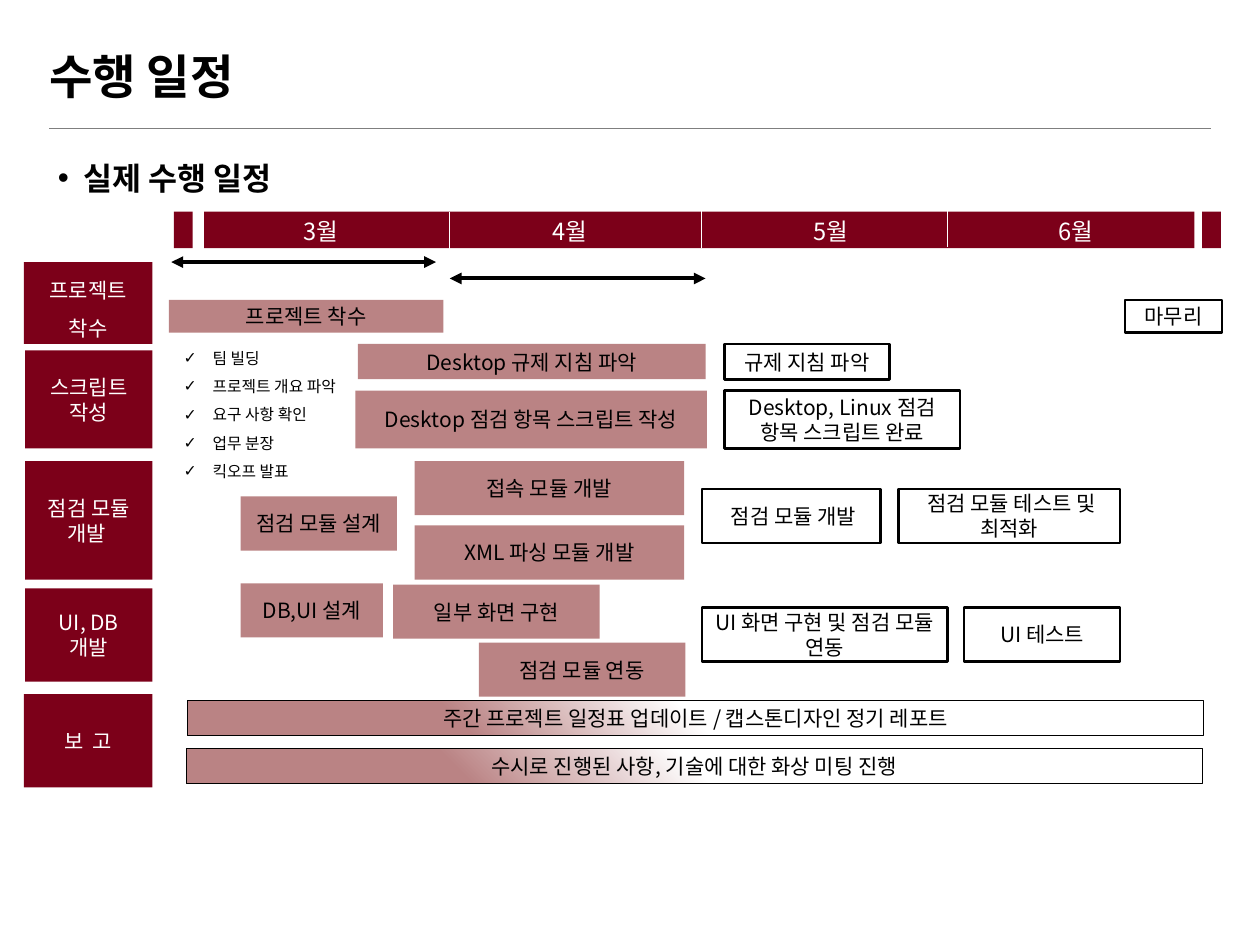
"""Draw the project schedule slide."""
from lxml import etree
from pptx import Presentation, util as u
from pptx.dml.color import RGBColor
from pptx.enum import shapes, text
from pptx.oxml import parse_xml
from pptx.oxml.ns import qn, nsdecls

WINE, ROSE, BLACK, WHITE, GRAY = "7C0019", "BA8384", "000000", "FFFFFF", "7F7F7F"
KOR = "Noto Sans CJK KR"
ALIGN = text.PP_ALIGN
ANCHOR = text.MSO_ANCHOR


def rgb(code):
    """Turn a hex string into a colour."""
    return RGBColor.from_string(code)


def assign(item, vals):
    """Set attributes from a dict."""
    for key, val in vals.items():
        setattr(item, key, val)


class Deck:
    """Hold the style and the current slide."""

    def __init__(self):
        """Open a deck with one title and content slide."""
        self.prs = Presentation()
        assign(self.prs, {"slide_width": u.Inches(10), "slide_height": u.Inches(7.5)})
        self.slide = self.prs.slides.add_slide(self.prs.slide_layouts[1])

    def letter(self, frame, words, size=12, color=BLACK, font=KOR, bold=False,
               align=ALIGN.LEFT, anchor=ANCHOR.TOP, space=1.0, mark=None, dent=0):
        """Fill a text frame, one paragraph per line of words."""
        assign(frame, {"word_wrap": True, "auto_size": text.MSO_AUTO_SIZE.NONE,
                       "vertical_anchor": anchor})
        frame.text = words
        for para in frame.paragraphs:
            if mark:
                props = para._p.get_or_add_pPr()
                props.set("marL", str(u.Inches(dent)))
                props.set("indent", str(-u.Inches(dent)))
                etree.SubElement(props, qn("a:buFont")).set("typeface", "Arial")
                etree.SubElement(props, qn("a:buChar")).set("char", mark)
            assign(para, {"alignment": align, "line_spacing": space,
                          "space_before": u.Pt(0)})
            for run in para.runs:
                assign(run.font, {"size": u.Pt(size), "bold": bold, "name": font})
                run.font.color.rgb = rgb(color)
                etree.SubElement(run._r.get_or_add_rPr(), qn("a:ea")).set("typeface", KOR)

    def holder(self, idx, box, words, **style):
        """Move and fill a template placeholder."""
        item = self.slide.placeholders[idx]
        assign(item, dict(zip(("left", "top", "width", "height"), map(u.Inches, box))))
        self.letter(item.text_frame, words, **style)

    def label(self, box, words, **style):
        """Add a text box."""
        item = self.slide.shapes.add_textbox(*map(u.Inches, box))
        self.letter(item.text_frame, words, **style)

    def block(self, box, words="", fill=None, edge=None, width=1.5, color=BLACK, space=1.0):
        """Add a rectangle with centred text."""
        item = self.slide.shapes.add_shape(shapes.MSO_SHAPE.RECTANGLE, *map(u.Inches, box))
        item.shadow.inherit = False
        if fill:
            item.fill.solid()
            item.fill.fore_color.rgb = rgb(fill)
        else:
            item.fill.background()
        if edge:
            item.line.color.rgb = rgb(edge)
            item.line.width = u.Pt(width)
        else:
            item.line.fill.background()
        if words:
            self.letter(item.text_frame, words, color=color, space=space,
                        align=ALIGN.CENTER, anchor=ANCHOR.MIDDLE)
        return item

    def fade(self, box, words, width):
        """Add an outlined bar that fades from rose to white."""
        item = self.block(box, words, edge=BLACK, width=width)
        stops = "".join(f'<a:gs pos="{pos}000"><a:srgbClr val="{code}"/></a:gs>'
                        for pos, code in ((27, ROSE), (50, WHITE)))
        grad = parse_xml(
            f'<a:gradFill {nsdecls("a")} rotWithShape="1"><a:gsLst>{stops}</a:gsLst>'
            '<a:path path="circle"><a:fillToRect t="100000" r="100000"/></a:path></a:gradFill>')
        props = item._element.spPr
        props.replace(props.find(qn("a:noFill")), grad)

    def line(self, start, end, color, width, heads=False):
        """Add a straight line, with arrowheads at both ends if asked."""
        item = self.slide.shapes.add_connector(
            shapes.MSO_CONNECTOR.STRAIGHT, *map(u.Inches, start + end))
        item.line.color.rgb = rgb(color)
        item.line.width = u.Pt(width)
        props = item._element.spPr
        if heads:
            for tag in ("a:headEnd", "a:tailEnd"):
                etree.SubElement(props.find(qn("a:ln")), qn(tag)).set("type", "triangle")
        etree.SubElement(props, qn("a:effectLst"))


PHASES = [
    ((0.19, 2.08, 1.02, 0.65), "프로젝트\n착수", 1.5),
    ((0.2, 2.78, 1.01, 0.78), "스크립트\n작성", 1.0),
    ((0.2, 3.66, 1.01, 0.94), "점검 모듈\n개발 ", 1.0),
    ((0.2, 4.67, 1.01, 0.74), "UI, DB\n개발", 1.0),
    ((0.19, 5.51, 1.02, 0.74), "보  고", 1.0),
]
DONE = [
    ((1.34, 2.38, 2.18, 0.26), "프로젝트 착수"),
    ((2.84, 2.73, 2.76, 0.28), "Desktop 규제 지침 파악"),
    ((2.82, 3.1, 2.79, 0.46), "Desktop 점검 항목 스크립트 작성"),
    ((3.29, 3.66, 2.14, 0.43), "접속 모듈 개발"),
    ((3.29, 4.17, 2.14, 0.43), "XML 파싱 모듈 개발"),
    ((1.91, 3.94, 1.24, 0.43), "점검 모듈 설계"),
    ((1.91, 4.63, 1.13, 0.43), "DB,UI 설계"),
    ((3.12, 4.64, 1.64, 0.43), "일부 화면 구현"),
    ((3.8, 5.1, 1.64, 0.43), "점검 모듈 연동"),
]
PLAN = [
    ((8.93, 2.38, 0.77, 0.26), "마무리"),
    ((5.75, 2.73, 1.31, 0.28), "규제 지침 파악"),
    ((5.75, 3.1, 1.87, 0.46), "Desktop, Linux 점검 항목 스크립트 완료"),
    ((5.57, 3.88, 1.42, 0.43), " 점검 모듈 개발"),
    ((7.13, 3.88, 1.76, 0.43), " 점검 모듈 테스트 및\n최적화"),
    ((5.57, 4.82, 1.95, 0.43), "UI 화면 구현 및 점검 모듈 연동"),
    ((7.65, 4.82, 1.24, 0.43), "UI 테스트"),
]
STEPS = "팀 빌딩\n프로젝트 개요 파악\n요구 사항 확인\n업무 분장\n킥오프 발표"


def main():
    """Build and save the slide."""
    deck = Deck()
    deck.holder(0, (0.29, 0.25, 9.41, 0.76), "수행 일정", size=27, font="Arial",
                bold=True, anchor=ANCHOR.MIDDLE, space=0.9)
    deck.holder(1, (0.36, 1.18, 9.35, 5.91), "실제 수행 일정", size=18, bold=True,
                space=1.1, mark="•", dent=0.2)
    deck.line((0.39, 1.02), (9.61, 1.02), GRAY, 0.5)
    for left, width in ((1.38, 0.15), (1.62, 7.86), (9.54, 0.15)):
        deck.block((left, 1.68, width, 0.29), fill=WINE)
    for month, left in enumerate((2.31, 4.29, 6.36, 8.3), 3):
        deck.label((left, 1.67, 0.64, 0.33), f"{month}월", size=13.5, color=WHITE)
    for left, top in ((3.57, 1.68), (5.57, 1.66), (7.52, 1.65)):
        deck.line((left, top), (left, top + 0.31), WHITE, 0.5)
    for left, right, top in ((1.36, 3.46, 2.08), (3.57, 5.6, 2.21)):
        deck.line((left, top), (right, top), BLACK, 2.25, heads=True)
    for box, words, space in PHASES:
        deck.block(box, words, fill=WINE, color=WHITE, space=space)
    deck.label((1.36, 2.64, 1.5, 1.21), STEPS, size=9, space=1.5, mark="✓", dent=0.23)
    for box, words in DONE:
        deck.block(box, words, fill=ROSE)
    for box, words in PLAN:
        deck.block(box, words, edge=BLACK)
    deck.fade((1.49, 5.56, 8.06, 0.28),
              "주간 프로젝트 일정표 업데이트 / 캡스톤디자인 정기 레포트", 0.75)
    deck.fade((1.48, 5.94, 8.06, 0.28),
              "수시로 진행된 사항, 기술에 대한 화상 미팅 진행", 0.25)
    deck.prs.save("out.pptx")


if __name__ == "__main__":
    main()
